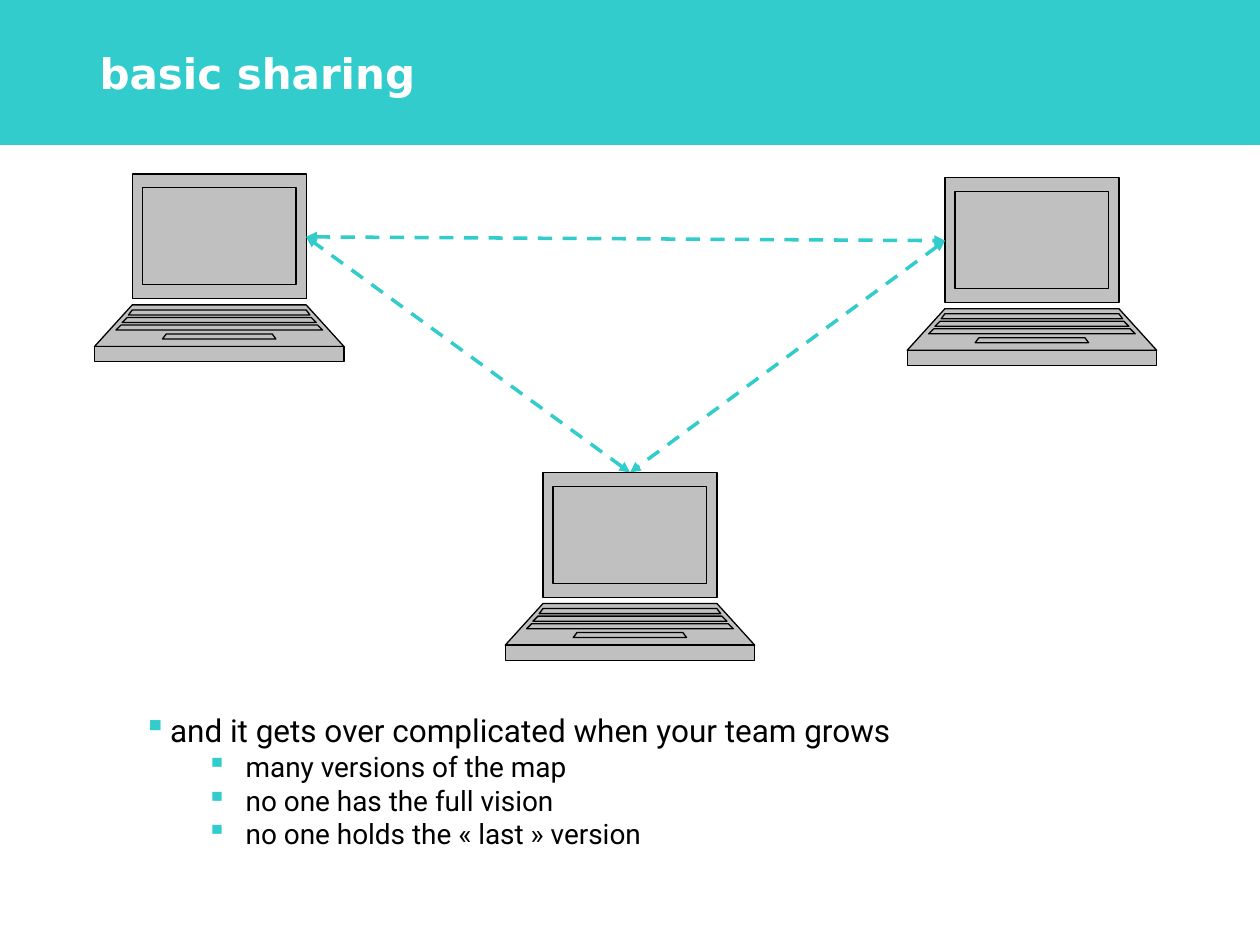
"""Build a slide on three laptops sharing files with one another."""
import copy

import pptx
import pptx.dml.color
import pptx.enum.dml
import pptx.enum.shapes
import pptx.enum.text
import pptx.oxml
import pptx.oxml.ns
import pptx.util

Inches = pptx.util.Inches
Pt = pptx.util.Pt
qn = pptx.oxml.ns.qn

COLORS = {"accent": "33CCCC", "body": "000000", "title": "FFFFFF", "laptop": "C0C0C0"}
FORMATS = {
    "title": {"name": "DejaVu Sans", "size": Pt(24), "bold": True},
    "point": {"name": "Roboto", "size": Pt(18), "bold": False},
    "detail": {"name": "Roboto", "size": Pt(16), "bold": False},
}
FRAME = {
    "margin_left": 0, "margin_top": 0, "margin_right": 0, "margin_bottom": 0,
    "word_wrap": True, "auto_size": pptx.enum.text.MSO_AUTO_SIZE.NONE,
}
LAPTOP_PANELS = [
    (0.69, 0.69, 0, 0.99),
    (0.69, 0.99, 1.04, 1.37),
    (0.99, 0.99, 1.37, 1.49),
    (0.61, 0.61, 0.11, 0.88),
    (0.69, 0.72, 1.08, 1.12),
    (0.42, 0.45, 1.27, 1.31),
    (0.73, 0.77, 1.14, 1.18),
    (0.78, 0.82, 1.2, 1.24),
]
SCREEN_HALF_WIDTH = 0.69
SCREEN_MIDDLE = 0.5


def rgb(key):
    """Return the named colour."""
    return pptx.dml.color.RGBColor.from_string(COLORS[key])


def apply(target, values):
    """Set each named attribute on the target."""
    for name, value in values.items():
        setattr(target, name, value)


class SlideBuilder:
    """Hold the current slide and its style, and add elements to it."""

    def __init__(self, slide):
        """Keep the slide to draw on."""
        self.slide = slide

    def add_span(self, para, text, style, color):
        """Add a formatted run to a paragraph."""
        span = para.add_run()
        span.text = text
        apply(span.font, FORMATS[style])
        span.font.color.rgb = rgb(color)

    def indent(self, para, left, first):
        """Set the left margin and first-line indent of a paragraph."""
        properties = para._p.get_or_add_pPr()
        properties.set("marL", str(Inches(left)))
        properties.set("indent", str(Inches(first)))
        return properties

    def title(self, text, width, height):
        """Turn the title placeholder into a banner."""
        banner = self.slide.shapes.title
        apply(banner, {"left": 0, "top": 0, "width": Inches(width), "height": Inches(height)})
        banner.fill.solid()
        banner.fill.fore_color.rgb = rgb("accent")
        apply(banner.text_frame, FRAME)
        banner.text_frame.vertical_anchor = pptx.enum.text.MSO_ANCHOR.MIDDLE
        para = banner.text_frame.paragraphs[0]
        para.alignment = pptx.enum.text.PP_ALIGN.LEFT
        self.indent(para, 0.79, 0)
        self.add_span(para, text, "title", "title")

    def bullets(self, items, left, top, width, height):
        """Add a two-level bulleted list."""
        box = self.slide.shapes.add_textbox(*map(Inches, (left, top, width, height)))
        frame = box.text_frame
        apply(frame, FRAME)
        for index, (level, text) in enumerate(items):
            para = frame.add_paragraph() if index else frame.paragraphs[0]
            para.level = level
            properties = self.indent(para, *((0.81, -0.31) if level else (0.21, -0.21)))
            color = pptx.oxml.parse_xml(
                f'<a:buClr {pptx.oxml.ns.nsdecls("a")}>'
                f'<a:srgbClr val="{COLORS["accent"]}"/></a:buClr>'
            )
            properties.append(color)
            properties.append(properties.makeelement(qn("a:buChar"), {"char": "▪"}))
            para.space_after = Pt(0 if level else 0.6)
            self.add_span(para, text, "detail" if level else "point", "body")

    def laptop(self, center, top):
        """Draw a laptop as one freeform with a separately filled outline per panel."""
        builder = None
        for upper, lower, start, end in LAPTOP_PANELS:
            corners = [
                (Inches(center + x), Inches(top + y))
                for x, y in ((-upper, start), (upper, start), (lower, end), (-lower, end))
            ]
            if builder is None:
                builder = self.slide.shapes.build_freeform(*corners[0])
            else:
                builder.move_to(*corners[0])
            builder.add_line_segments(corners[1:], close=True)
        shape = builder.convert_to_shape()
        self.split_outlines(shape)
        shape.shadow.inherit = False
        shape.fill.solid()
        shape.fill.fore_color.rgb = rgb("laptop")
        shape.line.color.rgb = rgb("body")
        shape.line.width = Pt(0.75)

    def split_outlines(self, shape):
        """Give each contour its own outline so that overlaps stay filled."""
        combined = next(shape._element.iter(qn("a:path")))
        outlines = combined.getparent()
        blank = copy.deepcopy(combined)
        for command in list(blank):
            blank.remove(command)
        for command in list(combined):
            if command.tag == qn("a:moveTo"):
                outline = copy.deepcopy(blank)
                outlines.append(outline)
            outline.append(command)
        outlines.remove(combined)

    def arrow(self, start, end):
        """Add a dashed line with an arrowhead at both ends."""
        line = self.slide.shapes.add_connector(
            pptx.enum.shapes.MSO_CONNECTOR.STRAIGHT, *map(Inches, (*start, *end))
        )
        line.line.color.rgb = rgb("accent")
        line.line.width = Pt(2)
        line.line.dash_style = pptx.enum.dml.MSO_LINE.DASH
        outline = line.line._get_or_add_ln()
        for tag in ("a:headEnd", "a:tailEnd"):
            outline.append(outline.makeelement(qn(tag), {"type": "triangle"}))
        properties = line._element.spPr
        properties.append(properties.makeelement(qn("a:effectLst")))


def main():
    """Build and save the deck."""
    deck = pptx.Presentation()
    deck.slide_width, deck.slide_height = Inches(10), Inches(7.5)
    page = SlideBuilder(deck.slides.add_slide(deck.slide_layouts[5]))
    page.title("basic sharing", 10, 1.15)
    page.bullets(
        [
            (0, "and it gets over complicated when your team grows"),
            (1, "many versions of the map"),
            (1, "no one has the full vision"),
            (1, "no one holds the « last » version"),
        ],
        1.14, 5.64, 7.8, 1.5,
    )
    left, right, bottom = (1.74, 1.38), (8.19, 1.41), (5, 3.75)
    left_end = (left[0] + SCREEN_HALF_WIDTH, left[1] + SCREEN_MIDDLE)
    right_end = (right[0] - SCREEN_HALF_WIDTH, right[1] + SCREEN_MIDDLE)
    page.laptop(*left)
    page.laptop(*right)
    for start, end in ((left_end, right_end), (bottom, left_end), (right_end, bottom)):
        page.arrow(start, end)
    page.laptop(*bottom)
    deck.save("out.pptx")


if __name__ == "__main__":
    main()
